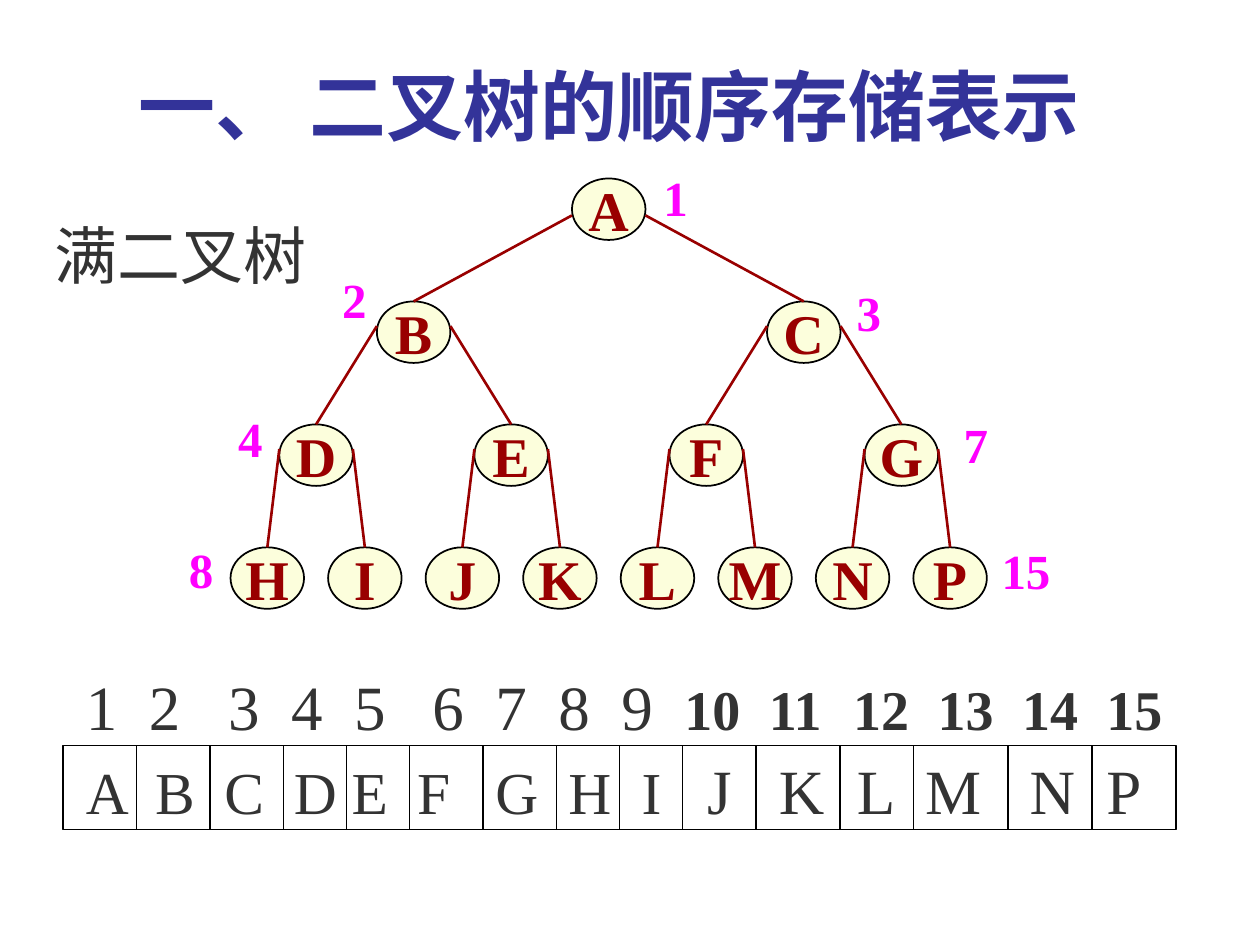
from itertools import accumulate

from lxml import etree
from pptx import Presentation
from pptx.dml import color
from pptx.enum import shapes, text
from pptx.oxml import ns
from pptx.util import Inches, Pt

FONT = "Times New Roman"
THEME = {
    "title": {"size": Pt(44), "bold": True, "name": FONT, "color": "333399"},
    "body": {"size": Pt(36), "bold": False, "name": FONT, "color": "333333"},
    "letter": {"size": Pt(34), "bold": False, "name": FONT, "color": "333333"},
    "index": {"size": Pt(32), "bold": True, "name": FONT, "color": "333333"},
    "node": {"size": Pt(32), "bold": True, "name": FONT, "color": "990000"},
    "number": {"size": Pt(28), "bold": True, "name": FONT, "color": "FF00FF"},
    "node_fill": "FCFEDC",
    "edge": ("990000", 1.5),
    "outline": ("000000", 1),
}
COLS, ROWS = 120, 90

prs = Presentation()
prs.slide_width, prs.slide_height = Inches(10), Inches(7.5)
s = prs.slides.add_slide(prs.slide_layouts[6])
col, row = prs.slide_width / COLS, prs.slide_height / ROWS


def write(sp, runs, frame, align=text.PP_ALIGN.LEFT, stops=()):
    tf = sp.text_frame
    for key, value in frame.items():
        setattr(tf, key, value)
    p = tf.paragraphs[0]
    p.alignment = align
    if stops:
        tabs = etree.SubElement(p._p.get_or_add_pPr(), ns.qn("a:tabLst"))
        for stop in stops:
            etree.SubElement(tabs, ns.qn("a:tab"), pos=str(Inches(stop)), algn="l")
    for words, style in runs:
        r = p.add_run()
        r.text = words
        for key, value in THEME[style].items():
            if key == "color":
                r.font.color.rgb = color.RGBColor.from_string(value)
            else:
                setattr(r.font, key, value)


def connect(x1, y1, x2, y2, style):
    cx = s.shapes.add_connector(
        shapes.MSO_CONNECTOR.STRAIGHT,
        *(round(v) for v in (x1 * col, y1 * row, x2 * col, y2 * row)))
    cx.line.color.rgb = color.RGBColor.from_string(THEME[style][0])
    cx.line.width = Pt(THEME[style][1])
    etree.SubElement(cx._element.spPr, ns.qn("a:effectLst"))
    return cx


wrapped = {"word_wrap": True, "auto_size": text.MSO_AUTO_SIZE.SHAPE_TO_FIT_TEXT}
unwrapped = {**wrapped, "word_wrap": False}
centred = {"word_wrap": False, "vertical_anchor": text.MSO_ANCHOR.MIDDLE}

sp = s.shapes.add_textbox(*(round(v) for v in (12 * col, 5 * row, 92.5 * col, 10 * row)))
write(sp, [("一、 二叉树的顺序存储表示", "title")], unwrapped)

node_w, node_h = 7, 5.86
leaf_x, leaf_step = 25.46, 9.29
level_y, level_step = 17, 11.71
nodes = []
for i, name in enumerate("ABCDEFGHIJKLMNP", 1):
    depth = i.bit_length() - 1
    span = 2 ** (3 - depth)
    place = i - 2 ** depth
    x = leaf_x + leaf_step * (place * span + (span - 1) / 2)
    y = level_y + level_step * depth
    sp = s.shapes.add_shape(
        shapes.MSO_SHAPE.OVAL,
        *(round(v) for v in ((x - node_w / 2) * col, y * row, node_w * col, node_h * row)))
    sp.shadow.inherit = False
    sp.fill.solid()
    sp.fill.fore_color.rgb = color.RGBColor.from_string(THEME["node_fill"])
    sp.line.color.rgb = color.RGBColor.from_string(THEME["outline"][0])
    sp.line.width = Pt(THEME["outline"][1])
    write(sp, [(name, "node")], centred, text.PP_ALIGN.CENTER)
    nodes.append((x, y, sp))

for i, (x, y, sp) in enumerate(nodes[1:], 2):
    px, py, parent = nodes[i // 2 - 1]
    side = 1 if i % 2 else -1
    drop = 0.6 if i < 4 else 0.4
    cx = connect(px + side * node_w / 2, py + drop * node_h, x, y, "edge")
    cx.end_connect(sp, 0)

letter_stops = [0.55, 1.1, 1.65, 2.11, 2.63, 3.25, 3.83, 4.41,
                4.93, 5.5, 6.12, 6.66, 7.49, 8.1]
index_stops = list(accumulate([0.5, 0.63, 0.5, 0.5, 0.62] + [0.5] * 4 + [0.67] * 5))
array_rows = [
    (71, [("\t".join("ABCDEFGHI"), "letter"), ("\t" + "\t".join("JKLMNP"), "body")],
     letter_stops),
    (63, [("\t".join("123456789") + "\t", "body"),
          ("\t".join(str(n) for n in range(10, 16)), "index")], index_stops),
]
for top, runs, stops in array_rows:
    sp = s.shapes.add_textbox(*(round(v) for v in (7 * col, top * row, 113 * col, 8.4 * row)))
    write(sp, runs, wrapped, stops=stops)

edges = list(accumulate([6, 7, 7, 7, 6, 6, 7, 7, 6, 6, 7, 8, 7, 9, 8, 8]))
sp = s.shapes.add_shape(
    shapes.MSO_SHAPE.RECTANGLE,
    *(round(v) for v in (edges[0] * col, 71 * row, (edges[-1] - edges[0]) * col, 8 * row)))
sp.shadow.inherit = False
sp.fill.background()
sp.line.color.rgb = color.RGBColor.from_string(THEME["outline"][0])
sp.line.width = Pt(THEME["outline"][1])
for x in edges[1:-1]:
    connect(x, 71, x, 79, "outline")

labels = [
    ("满二叉树", "body", 4, 20, 30, 8.4),
    ("1", "number", 62, 15.4, 8, 6.8),
    ("2", "number", 31.4, 25.1, 8, 6.8),
    ("4", "number", 21.5, 38.3, 8, 6.8),
    ("8", "number", 16.8, 50.8, 8, 6.8),
    ("3", "number", 80.4, 26.3, 8, 6.8),
    ("7", "number", 90.6, 38.9, 8, 6.8),
    ("15", "number", 94.2, 50.9, 8, 6.8),
]
for words, style, x, y, w, h in labels:
    sp = s.shapes.add_textbox(*(round(v) for v in (x * col, y * row, w * col, h * row)))
    write(sp, [(words, style)], wrapped)

prs.save("out.pptx")
